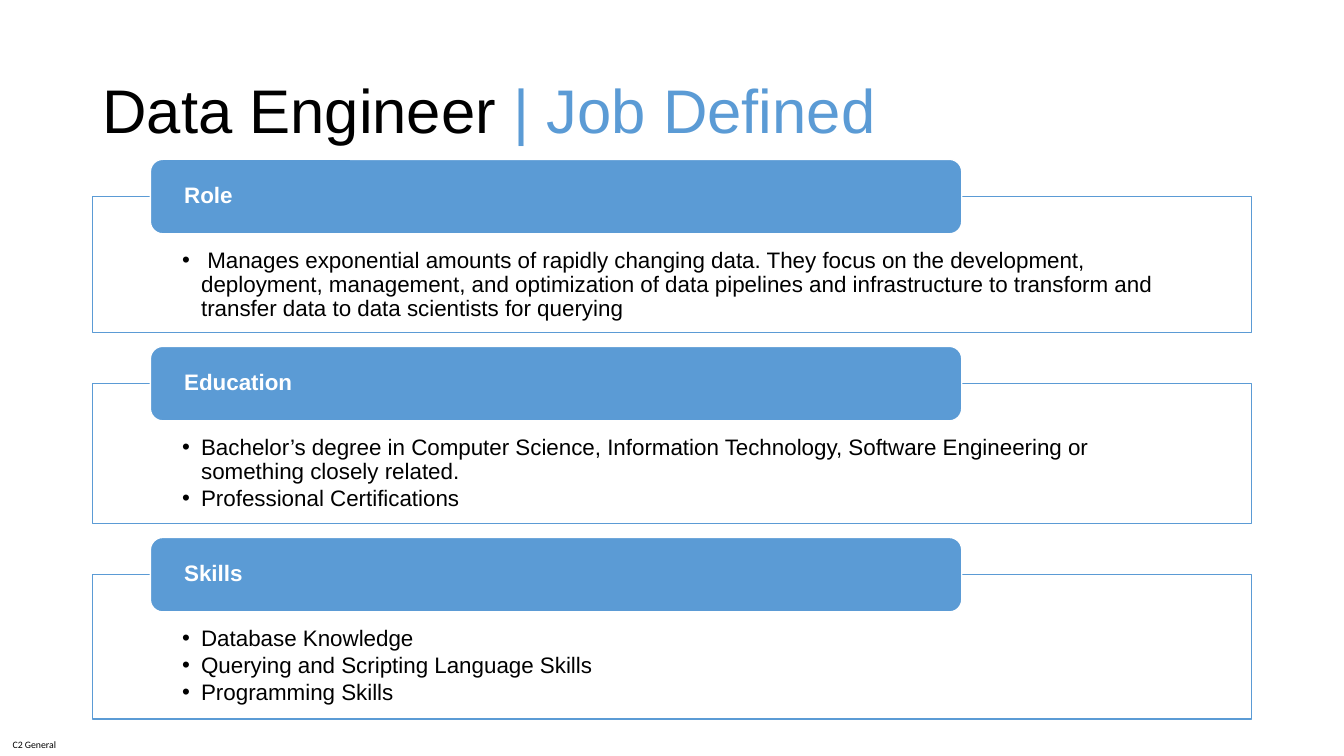
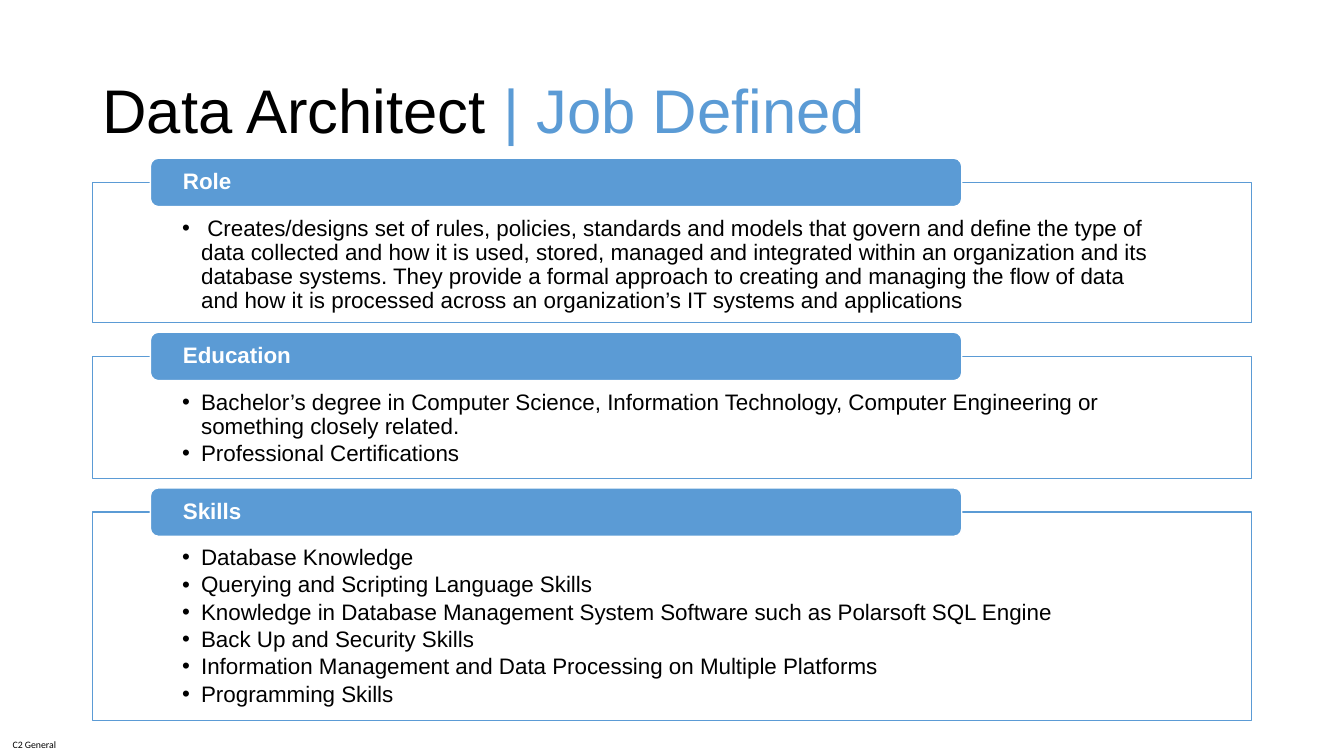
import pptx
import pptx.dml.color
import pptx.enum.shapes
import pptx.enum.text
import pptx.util
from lxml import etree

Pt = pptx.util.Pt
RGBColor = pptx.dml.color.RGBColor
Shape = pptx.enum.shapes.MSO_SHAPE
Anchor = pptx.enum.text.MSO_ANCHOR
Align = pptx.enum.text.PP_ALIGN

BLUE = RGBColor(0x5B, 0x9B, 0xD5)
BLACK = RGBColor(0x00, 0x00, 0x00)
WHITE = RGBColor(0xFF, 0xFF, 0xFF)
DRAWING = "http://schemas.openxmlformats.org/drawingml/2006/main"

# Shared formats
TITLE_FRAME = {"word_wrap": True, "vertical_anchor": Anchor.MIDDLE,
               "auto_size": pptx.enum.text.MSO_AUTO_SIZE.NONE}
TITLE_PARA = {"alignment": Align.LEFT, "line_spacing": 0.9}
TITLE_FONT = {"name": "Arial", "size": Pt(44)}
PANEL_FRAME = {"word_wrap": True, "vertical_anchor": Anchor.TOP, "margin_left": Pt(64.2),
               "margin_right": Pt(64.2), "margin_bottom": Pt(8.6)}
BULLET_PARA = {"alignment": Align.LEFT, "line_spacing": 0.9, "space_after": Pt(2.2)}
BULLET_FONT = {"name": "Arial", "size": Pt(16)}
BAR_FRAME = {"word_wrap": True, "vertical_anchor": Anchor.MIDDLE, "margin_left": Pt(21.6),
             "margin_right": Pt(21.6), "margin_top": 0, "margin_bottom": 0}
BAR_PARA = {"alignment": Align.LEFT, "line_spacing": 0.9}
BAR_FONT = {"name": "Arial", "size": Pt(16), "bold": True}
FOOTER_FRAME = {"word_wrap": True, "vertical_anchor": Anchor.MIDDLE, "margin_left": 0,
                "margin_right": 0, "margin_top": 0, "margin_bottom": 0}
FOOTER_PARA = {"alignment": Align.CENTER}
FOOTER_FONT = {"name": "Calibri", "size": Pt(7)}

# Shared geometry, in points
LEFT, WIDTH = 66, 828
BAR_LEFT, BAR_WIDTH = LEFT + 0.05 * WIDTH, 0.7 * WIDTH

JOBS = [
    {"title": "Data Engineer ", "top": 140.4, "bar": 53.2, "gap": 9.8, "inset": 37.4,
     "sections": [
         ("Role", 97.2, [
             " Manages exponential amounts of rapidly changing data. They focus on the "
             "development, deployment, management, and optimization of data pipelines and "
             "infrastructure to transform and transfer data to data scientists for querying"]),
         ("Education", 100.1, [
             "Bachelor’s degree in Computer Science, Information Technology, Software "
             "Engineering or something closely related.",
             "Professional Certifications"]),
         ("Skills", 103, [
             "Database Knowledge",
             "Querying and Scripting Language Skills",
             "Programming Skills"])]},
    {"title": "Data Architect ", "top": 130.3, "bar": 34.6, "gap": 6.7, "inset": 24.5,
     "sections": [
         ("Role", 100.3, [
             " Creates/designs set of rules, policies, standards and models that govern and "
             "define the type of data collected and how it is used, stored, managed and "
             "integrated within an organization and its database systems. They provide a "
             "formal approach to creating and managing the flow of data and how it is "
             "processed across an organization’s IT systems and applications"]),
         ("Education", 87.2, [
             "Bachelor’s degree in Computer Science, Information Technology, Computer "
             "Engineering or something closely related.",
             "Professional Certifications"]),
         ("Skills", 149, [
             "Database Knowledge",
             "Querying and Scripting Language Skills",
             "Knowledge in Database Management System Software such as Polarsoft SQL Engine",
             "Back Up and Security Skills",
             "Information Management and Data Processing on Multiple Platforms",
             "Programming Skills"])]},
]


def write(para, spans, para_format, font_format):
    """Fill a paragraph with (text, colour) spans."""
    for name, value in para_format.items():
        setattr(para, name, value)
    for text, colour in spans:
        span = para.add_run()
        span.text = text
        for name, value in font_format.items():
            setattr(span.font, name, value)
        span.font.color.rgb = colour


def add_block(page, kind, bounds, fill, line, frame_format):
    """Add an outlined shape and return its text frame."""
    block = page.shapes.add_shape(kind, *map(Pt, bounds))
    block.shadow.inherit = False
    block.fill.solid()
    block.fill.fore_color.rgb = fill
    block.line.color.rgb = line
    block.line.width = Pt(1)
    for name, value in frame_format.items():
        setattr(block.text_frame, name, value)
    return block.text_frame


deck = pptx.Presentation()
deck.slide_width, deck.slide_height = Pt(960), Pt(540)
layout = deck.slide_layouts[5]

for job in JOBS:
    page = deck.slides.add_slide(layout)

    # Title
    title = page.shapes.title
    title.left, title.top, title.width, title.height = Pt(LEFT), Pt(28.8), Pt(WIDTH), Pt(104.4)
    for name, value in TITLE_FRAME.items():
        setattr(title.text_frame, name, value)
    write(title.text_frame.paragraphs[0], [(job["title"], BLACK), ("| Job Defined", BLUE)],
          TITLE_PARA, TITLE_FONT)

    # Classification footer
    footer = page.shapes.add_textbox(0, Pt(523.4), Pt(49), Pt(16.6))
    for name, value in FOOTER_FRAME.items():
        setattr(footer.text_frame, name, value)
    write(footer.text_frame.paragraphs[0], [("C2 General", BLACK)], FOOTER_PARA, FOOTER_FONT)

    # Sections: outlined panel with a heading bar centred on its top edge
    top = job["top"]
    for heading, height, bullets in job["sections"]:
        panel = add_block(page, Shape.RECTANGLE, (LEFT, top, WIDTH, height), WHITE, BLUE,
                          {**PANEL_FRAME, "margin_top": Pt(job["inset"])})
        for index, bullet in enumerate(bullets):
            para = panel.add_paragraph() if index else panel.paragraphs[0]
            write(para, [(bullet, BLACK)], BULLET_PARA, BULLET_FONT)
            props = para._p.get_or_add_pPr()
            props.set("marL", str(Pt(13.5)))
            props.set("indent", str(-Pt(13.5)))
            etree.SubElement(props, f"{{{DRAWING}}}buFont", typeface="Arial")
            etree.SubElement(props, f"{{{DRAWING}}}buChar", char="•")

        bar = add_block(page, Shape.ROUNDED_RECTANGLE,
                        (BAR_LEFT, top - job["bar"] / 2, BAR_WIDTH, job["bar"]),
                        BLUE, WHITE, BAR_FRAME)
        write(bar.paragraphs[0], [(heading, WHITE)], BAR_PARA, BAR_FONT)
        top += height + job["gap"] + job["bar"] / 2

deck.save("out.pptx")
